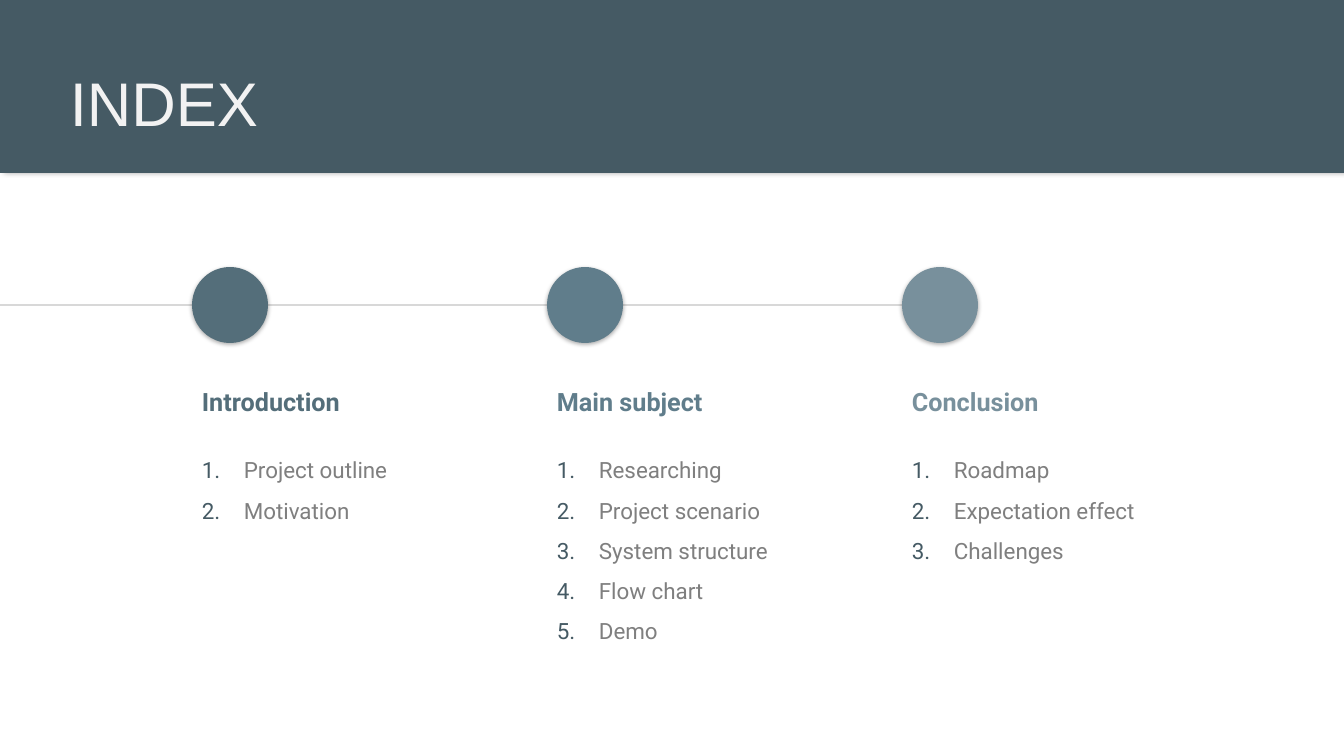
from lxml import etree
from pptx import Presentation
from pptx.dml.color import RGBColor
from pptx.enum.shapes import MSO_CONNECTOR, MSO_SHAPE
from pptx.enum.text import MSO_ANCHOR
from pptx.oxml.ns import qn
from pptx.util import Emu, Pt

RECTANGLE = MSO_SHAPE.RECTANGLE
OVAL = MSO_SHAPE.OVAL
STRAIGHT = MSO_CONNECTOR.STRAIGHT
TOP = MSO_ANCHOR.TOP
MIDDLE = MSO_ANCHOR.MIDDLE

SLATE = RGBColor(0x45, 0x5A, 0x64)
DEEP = RGBColor(0x54, 0x6E, 0x7A)
MEDIUM = RGBColor(0x60, 0x7D, 0x8B)
LIGHT = RGBColor(0x78, 0x90, 0x9C)
RULE = RGBColor(0xD8, 0xD8, 0xD8)
GREY = RGBColor(0x7F, 0x7F, 0x7F)
OFF_WHITE = RGBColor(0xF2, 0xF2, 0xF2)

WIDTH, HEIGHT = 1344, 756
COLUMN_LEFT, COLUMN_STEP, COLUMN_WIDTH = 192, 355, 300
COLUMN_TOP, DOT = 267, 76
SECTIONS = [
    ("Introduction", DEEP, ["Project outline", "Motivation"]),
    ("Main subject", MEDIUM, ["Researching", "Project scenario",
                              "System structure", "Flow chart", "Demo"]),
    ("Conclusion", LIGHT, ["Roadmap", "Expectation effect", "Challenges"]),
]


def px(length):
    """Turn pixels into EMU."""
    return Emu(round(length * 12192000 / WIDTH))


def add_shadow(shape, blur, distance, angle):
    """Give a shape a soft black shadow, sized in points and degrees."""
    effects = etree.SubElement(shape._element.spPr, qn("a:effectLst"))
    shadow = etree.SubElement(
        effects, qn("a:outerShdw"), blurRad=str(Pt(blur)), dist=str(Pt(distance)),
        dir=str(angle * 60000), algn="ctr", rotWithShape="0")
    color = etree.SubElement(shadow, qn("a:srgbClr"), val="000000")
    etree.SubElement(color, qn("a:alpha"), val="30000")


def add_filled(shapes, kind, box, color):
    """Add a preset shape with a plain fill and no outline."""
    shape = shapes.add_shape(kind, *map(px, box))
    shape.fill.solid()
    shape.fill.fore_color.rgb = color
    shape.line.fill.background()
    return shape


def add_text(shapes, box, lines, font_name, size, color, bold=False, anchor=TOP):
    """Add a text box with one run per line and return its paragraphs."""
    frame = shapes.add_textbox(*map(px, box)).text_frame
    frame.word_wrap = True
    frame.vertical_anchor = anchor
    for index, line in enumerate(lines):
        paragraph = frame.add_paragraph() if index else frame.paragraphs[0]
        run = paragraph.add_run()
        run.text = line
        run.font.name = font_name
        run.font.size = Pt(size)
        run.font.bold = bold
        run.font.color.rgb = color
    return frame.paragraphs


def number_paragraph(paragraph):
    """Give a paragraph a coloured automatic number and a hanging indent."""
    paragraph.line_spacing = 1.5
    properties = paragraph._p.get_or_add_pPr()
    properties.set("marL", str(px(42)))
    properties.set("indent", str(-px(42)))
    color = etree.SubElement(properties, qn("a:buClr"))
    etree.SubElement(color, qn("a:srgbClr"), val=str(SLATE))
    etree.SubElement(properties, qn("a:buFont"), typeface="+mj-lt")
    etree.SubElement(properties, qn("a:buAutoNum"), type="arabicPeriod")


def add_header(slide, left, top, width, height):
    """Draw the title band."""
    band = add_filled(slide.shapes, RECTANGLE, (left, top, width, height), SLATE)
    add_shadow(band, 4, 2, 0)
    title = add_text(slide.shapes, (left + 60, top + 71, width - 106, 71),
                     ["INDEX"], "Arial", 44, OFF_WHITE, anchor=MIDDLE)[0]
    title.line_spacing = 0.9


def add_timeline(slide, left, top, width):
    """Draw the line that joins the section dots."""
    line = slide.shapes.add_connector(
        STRAIGHT, px(left), px(top), px(left + width), px(top))
    line.line.color.rgb = RULE
    line.line.width = Pt(2)
    etree.SubElement(line._element.spPr, qn("a:effectLst"))


def add_section(slide, left, top, width, heading, color, topics):
    """Draw one section: dot, heading and numbered topics."""
    shapes = slide.shapes.add_group_shape().shapes
    dot = add_filled(shapes, OVAL, (left, top, DOT, DOT), color)
    add_shadow(dot, 3, 1, 90)
    add_text(shapes, (left, top + 114, width, 40), [heading],
             "Roboto", 18, color, bold=True)
    for paragraph in add_text(shapes, (left, top + 171, width, 214), topics,
                              "Roboto", 16, GREY):
        number_paragraph(paragraph)


def main():
    """Build the index slide."""
    presentation = Presentation()
    presentation.slide_width = px(WIDTH)
    presentation.slide_height = px(HEIGHT)
    slide = presentation.slides.add_slide(presentation.slide_layouts[6])
    add_timeline(slide, 0, COLUMN_TOP + DOT // 2,
                 COLUMN_LEFT + COLUMN_STEP * (len(SECTIONS) - 1))
    for index, section in enumerate(SECTIONS):
        add_section(slide, COLUMN_LEFT + index * COLUMN_STEP, COLUMN_TOP,
                    COLUMN_WIDTH, *section)
    add_header(slide, 0, 0, WIDTH, 173)
    presentation.save("out.pptx")


if __name__ == "__main__":
    main()
